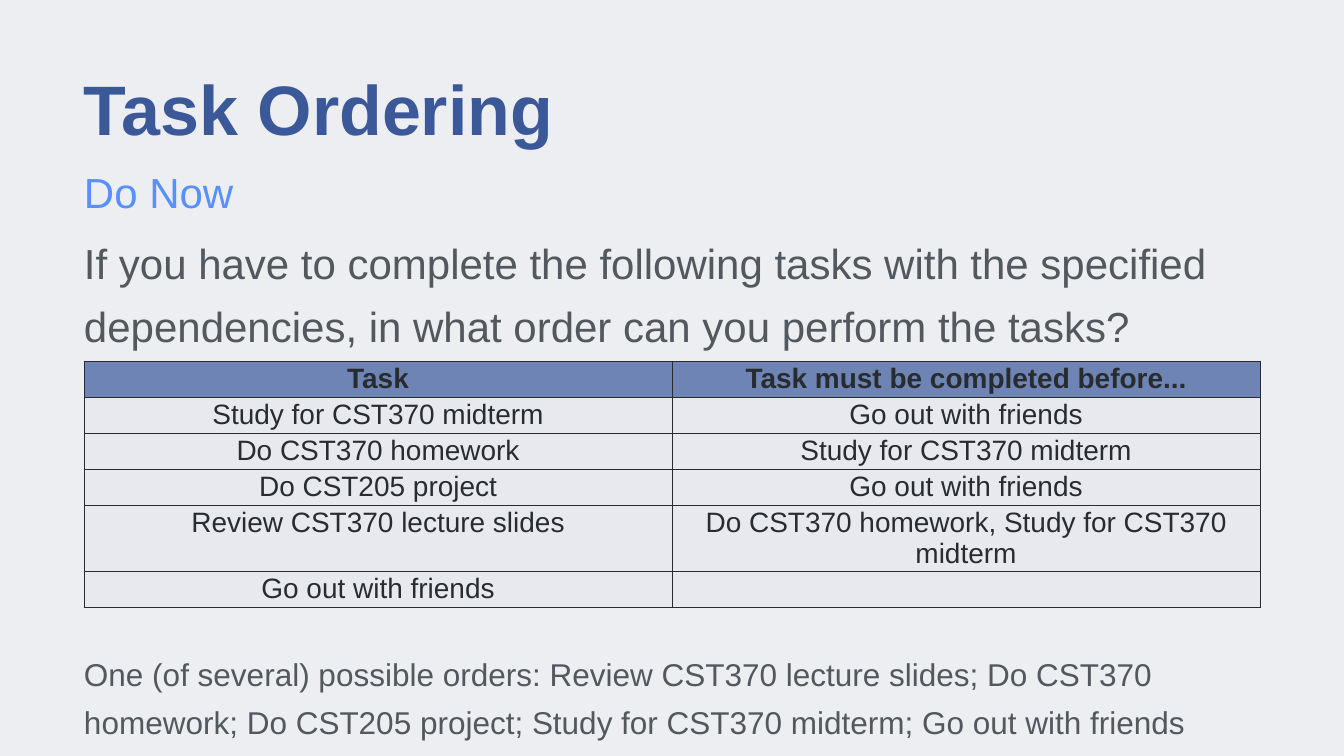
from lxml.etree import SubElement
from pptx import Presentation
from pptx.dml.color import RGBColor
from pptx.enum.text import MSO_ANCHOR, MSO_AUTO_SIZE, PP_ALIGN
from pptx.oxml.ns import qn
from pptx.util import Pt

SCALE = 914400 / 50.4
FONT = "Arial"
PAPER = RGBColor(0xED, 0xEE, 0xF1)
NAVY = RGBColor(0x3B, 0x59, 0x98)
SKY = RGBColor(0x58, 0x90, 0xFF)
GRAY = RGBColor(0x53, 0x58, 0x5F)
INK = RGBColor(0x29, 0x2C, 0x2F)
HEAD = RGBColor(0x6D, 0x84, 0xB4)
CELL = RGBColor(0xE7, 0xE9, 0xEF)

TASKS = [
    ("Task", "Task must be completed before..."),
    ("Study for CST370 midterm", "Go out with friends"),
    ("Do CST370 homework", "Study for CST370 midterm"),
    ("Do CST205 project", "Go out with friends"),
    ("Review CST370 lecture slides", "Do CST370 homework, Study for CST370 midterm"),
    ("Go out with friends", ""),
]
ASK = ("If you have to complete the following tasks with the specified "
       "dependencies, in what order can you perform the tasks?")
ORDER = ("One (of several) possible orders: Review CST370 lecture slides; "
         "Do CST370 homework; Do CST205 project; Study for CST370 midterm; "
         "Go out with friends")


def px(count):
    """Turn whole pixels into EMU."""
    return round(count * SCALE)


def style(para, size, color, bold=False):
    """Format every run of a paragraph."""
    for run in para.runs:
        font = run.font
        font.name, font.size, font.bold = FONT, Pt(size), bold
        font.color.rgb = color


def fill_holder(shape, box, lines, color, anchor, bold=False, pitch=1.0):
    """Place a placeholder and write (text, size, space before) lines in it."""
    shape.left, shape.top, shape.width, shape.height = map(px, box)
    frame = shape.text_frame
    frame.text = "\n".join(text for text, _, _ in lines)
    frame.word_wrap = True
    frame.auto_size = MSO_AUTO_SIZE.NONE
    frame.vertical_anchor = anchor
    frame.margin_left = frame.margin_right = 0
    frame.margin_top = frame.margin_bottom = 0
    for para, (_, size, gap) in zip(frame.paragraphs, lines):
        props = para._p.get_or_add_pPr()
        props.set("marL", "0")
        props.set("indent", "0")
        SubElement(props, qn("a:buNone"))
        para.alignment = PP_ALIGN.LEFT
        para.line_spacing = pitch
        para.space_before = px(gap)
        style(para, size, color, bold)


def add_border(cell):
    """Draw a thin line on all sides of a cell."""
    props = cell._tc.get_or_add_tcPr()
    for spot, side in enumerate(("a:lnL", "a:lnR", "a:lnT", "a:lnB")):
        line = SubElement(props, qn(side), w=str(Pt(1)))
        solid = SubElement(line, qn("a:solidFill"))
        SubElement(solid, qn("a:srgbClr"), val=str(INK))
        props.insert(spot, line)


def add_tasks(slide, left, top, width, height):
    """Add the table of tasks and what they precede."""
    frame = slide.shapes.add_table(
        len(TASKS), 2, px(left), px(top), px(width), px(height * len(TASKS)))
    for r, texts in enumerate(TASKS):
        frame.table.rows[r].height = px(height)
        for c, text in enumerate(texts):
            cell = frame.table.cell(r, c)
            cell.margin_top = cell.margin_bottom = px(2)
            cell.fill.solid()
            cell.fill.fore_color.rgb = CELL if r else HEAD
            add_border(cell)
            para = cell.text_frame.paragraphs[0]
            para.text = text
            para.alignment = PP_ALIGN.CENTER
            style(para, 40, INK, r == 0)


def main():
    """Build the slide and save it."""
    deck = Presentation()
    deck.slide_width, deck.slide_height = px(1344), px(756)
    slide = deck.slides.add_slide(deck.slide_layouts[3])
    slide.background.fill.solid()
    slide.background.fill.fore_color.rgb = PAPER
    title, body, lead = slide.placeholders
    fill_holder(body, (84, 225, 1176, 510), [(ASK, 60, 0), (ORDER, 45, 295)],
                GRAY, MSO_ANCHOR.TOP, pitch=1.25)
    fill_holder(title, (84, 57, 1176, 101), [("Task Ordering", 100, 0)],
                NAVY, MSO_ANCHOR.MIDDLE, bold=True)
    fill_holder(lead, (84, 161, 1176, 61), [("Do Now", 60, 0)],
                SKY, MSO_ANCHOR.MIDDLE)
    add_tasks(slide, 84, 361, 1176, 36)
    deck.save("out.pptx")


if __name__ == "__main__":
    main()
